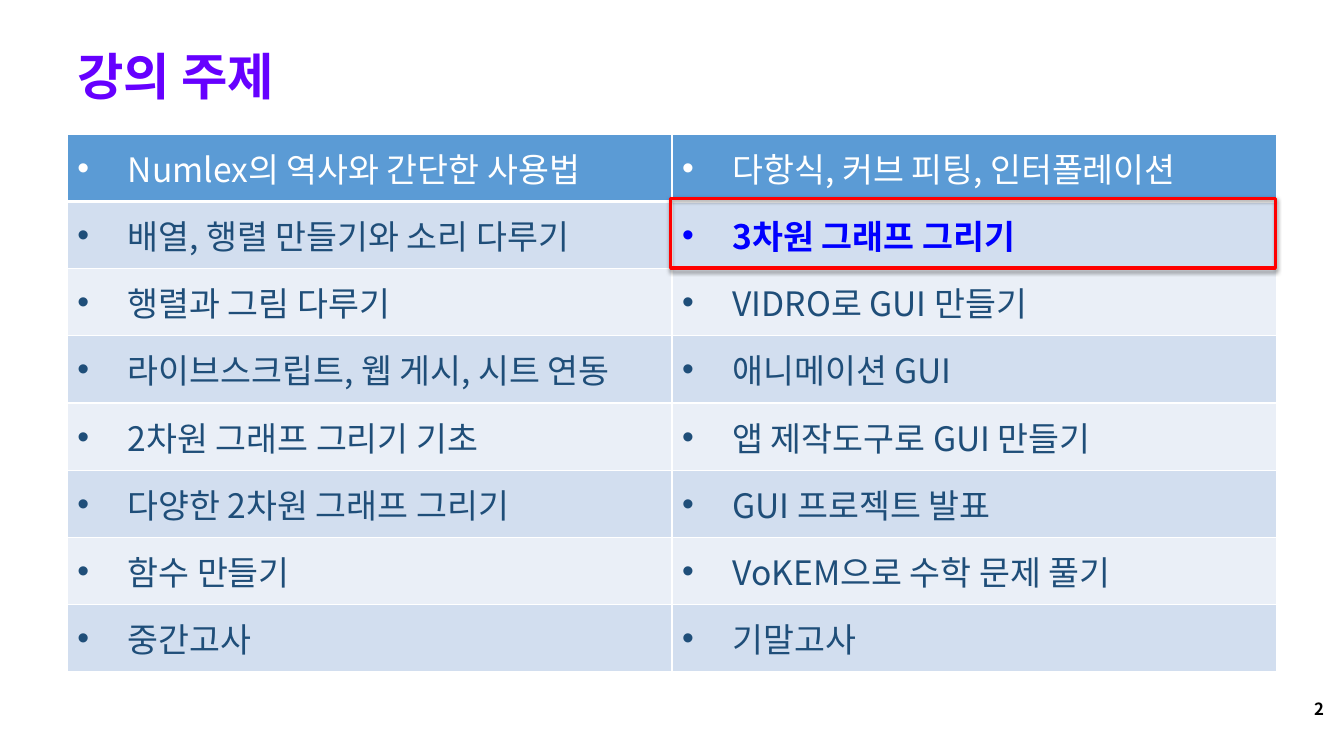
from dataclasses import dataclass

from lxml import etree
from pptx import Presentation
from pptx.dml.color import RGBColor
from pptx.enum.shapes import MSO_SHAPE
from pptx.enum.text import MSO_ANCHOR, PP_ALIGN
from pptx.oxml.ns import qn
from pptx.util import Inches, Pt

RECTANGLE = MSO_SHAPE.RECTANGLE
TOP, MIDDLE, BOTTOM = MSO_ANCHOR.TOP, MSO_ANCHOR.MIDDLE, MSO_ANCHOR.BOTTOM
LEFT, RIGHT = PP_ALIGN.LEFT, PP_ALIGN.RIGHT

SLIDE_WIDTH, SLIDE_HEIGHT = Inches(13.33), Inches(7.5)
GRID = SLIDE_WIDTH / 20
TABLE_COLUMN, TABLE_ROW, TOPIC_COLUMNS = 1, 2, 9


@dataclass(frozen=True)
class Theme:
    font: str = "Noto Sans CJK KR"
    title: str = "6600FF"
    number: str = "000000"
    header_text: str = "FFFFFF"
    topic_text: str = "1F4E79"
    current_text: str = "0000FF"
    header_fill: str = "5B9BD5"
    bands: tuple = ("EAEFF7", "D2DEEF")
    border: str = "FFFFFF"
    highlight: str = "FF0000"
    shadow: str = "000000"
    title_size: int = 36
    topic_size: int = 24
    number_size: int = 12


THEME = Theme()
TOPICS = (
    ("Numlex의 역사와 간단한 사용법", "다항식, 커브 피팅, 인터폴레이션"),
    ("배열, 행렬 만들기와 소리 다루기", "3차원 그래프 그리기"),
    ("행렬과 그림 다루기", "VIDRO로 GUI 만들기"),
    ("라이브스크립트, 웹 게시, 시트 연동", "애니메이션 GUI"),
    ("2차원 그래프 그리기 기초", "앱 제작도구로 GUI 만들기"),
    ("다양한 2차원 그래프 그리기", "GUI 프로젝트 발표"),
    ("함수 만들기", "VoKEM으로 수학 문제 풀기"),
    ("중간고사", "기말고사"),
)
CURRENT_TOPIC = (1, 1)


def grid(*units):
    return [round(unit * GRID) for unit in units]


def add_element(parent, tag, **attributes):
    return etree.SubElement(parent, qn(tag), attributes)


def add_run(paragraph, text, size, color, bold):
    run = paragraph.add_run()
    run.text = text
    run.font.name = THEME.font
    run.font.size = Pt(size)
    run.font.bold = bold
    run.font.color.rgb = RGBColor.from_string(color)
    add_element(run.font._element, "a:ea", typeface=THEME.font)


def add_label(slide, box, text, size, color, anchor, alignment):
    frame = slide.shapes.add_textbox(*grid(*box)).text_frame
    frame.word_wrap = True
    frame.vertical_anchor = anchor
    paragraph = frame.paragraphs[0]
    paragraph.alignment = alignment
    add_run(paragraph, text, size, color, True)


def add_bullet(paragraph):
    properties = paragraph._p.get_or_add_pPr()
    indent = Inches(0.5)
    properties.set("marL", str(indent))
    properties.set("indent", str(-indent))
    add_element(properties, "a:buFont", typeface="Arial")
    add_element(properties, "a:buChar", char="•")


def set_borders(cell, widths):
    properties = cell._tc.get_or_add_tcPr()
    for index, (side, width) in enumerate(widths.items()):
        line = etree.Element(qn(f"a:ln{side}"), w=str(Pt(width)))
        fill = add_element(line, "a:solidFill")
        add_element(fill, "a:srgbClr", val=THEME.border)
        properties.insert(index, line)


def fill_topic(cell, row, column, text):
    is_header, is_current = row == 0, (row, column) == CURRENT_TOPIC
    fill = THEME.header_fill if is_header else THEME.bands[row % 2]
    color = THEME.header_text if is_header else THEME.topic_text
    if is_current:
        color = THEME.current_text
    cell.fill.solid()
    cell.fill.fore_color.rgb = RGBColor.from_string(fill)
    cell.vertical_anchor = MIDDLE
    top, bottom = 3 if row == 1 else 1, 3 if is_header else 1
    set_borders(cell, {"L": 1, "R": 1, "T": top, "B": bottom})
    paragraph = cell.text_frame.paragraphs[0]
    paragraph.alignment = LEFT
    add_bullet(paragraph)
    add_run(paragraph, text, THEME.topic_size, color, is_current)


def add_topic_table(slide):
    rows, columns = len(TOPICS), len(TOPICS[0])
    box = grid(TABLE_COLUMN, TABLE_ROW, columns * TOPIC_COLUMNS, rows)
    table = slide.shapes.add_table(rows, columns, *box).table
    for row, topics in enumerate(TOPICS):
        for column, text in enumerate(topics):
            fill_topic(table.cell(row, column), row, column, text)


def add_highlight(slide):
    row, column = CURRENT_TOPIC
    left = TABLE_COLUMN + column * TOPIC_COLUMNS - 0.02
    top = TABLE_ROW + row - 0.05
    shape = slide.shapes.add_shape(RECTANGLE, *grid(left, top, TOPIC_COLUMNS, 1.04))
    shape.fill.background()
    shape.line.color.rgb = RGBColor.from_string(THEME.highlight)
    shape.line.width = Pt(2.25)
    shape.shadow.inherit = False
    effects = shape._element.spPr.find(qn("a:effectLst"))
    shadow = add_element(effects, "a:outerShdw", blurRad=str(Pt(3.1)),
                         dist=str(Pt(1.6)), dir="5400000", rotWithShape="0")
    color = add_element(shadow, "a:srgbClr", val=THEME.shadow)
    add_element(color, "a:alpha", val="38000")


def main():
    presentation = Presentation()
    presentation.slide_width, presentation.slide_height = SLIDE_WIDTH, SLIDE_HEIGHT
    slide = presentation.slides.add_slide(presentation.slide_layouts[6])
    add_label(slide, (1, 0.2, 18.06, 1.44), "강의 주제",
              THEME.title_size, THEME.title, BOTTOM, LEFT)
    add_label(slide, (15.18, 10.33, 4.67, 0.45), "2",
              THEME.number_size, THEME.number, TOP, RIGHT)
    add_topic_table(slide)
    add_highlight(slide)
    presentation.save("out.pptx")


if __name__ == "__main__":
    main()
